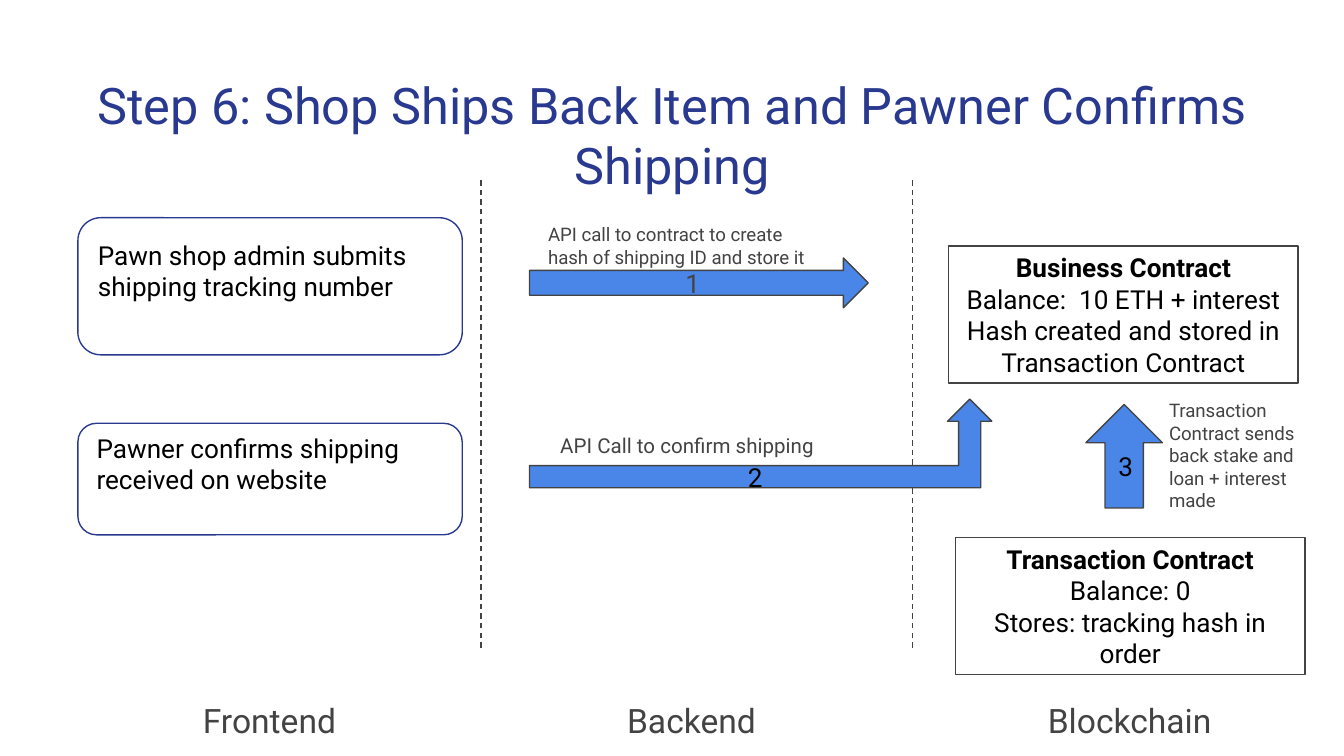
"""Build the shipping step slide on a square grid, 100 columns wide."""
import pptx
import pptx.util
import pptx.dml.color
import pptx.enum.dml
import pptx.enum.shapes
import pptx.enum.text
import pptx.oxml

RGBColor = pptx.dml.color.RGBColor
BLUE = RGBColor(0x4A, 0x86, 0xE8)
NAVY = RGBColor(0x2A, 0x39, 0x90)
GRAY = RGBColor(0x43, 0x43, 0x43)
BLACK = RGBColor(0, 0, 0)

Kind = pptx.enum.shapes.MSO_SHAPE
Align = pptx.enum.text.PP_ALIGN
Anchor = pptx.enum.text.MSO_ANCHOR
WIDE = pptx.util.Inches(10)
HIGH = WIDE * 9 // 16
CELL = WIDE // 100
INSET = CELL
THIN = pptx.util.Pt(0.75)


def place(*box):
    return [round(size * CELL) for size in box]


def set_all(item, form):
    for name, value in form.items():
        setattr(item, name, value)


def write(shape, lines, size, color, align=Align.CENTER, anchor=Anchor.TOP, head=False):
    frame = shape.text_frame
    frame.text = "\n".join(lines)
    set_all(frame, {
        "word_wrap": True,
        "auto_size": pptx.enum.text.MSO_AUTO_SIZE.NONE,
        "vertical_anchor": anchor,
        "margin_left": INSET, "margin_right": INSET,
        "margin_top": INSET, "margin_bottom": INSET,
    })
    for row, para in enumerate(frame.paragraphs):
        para.alignment = align
        for run in para.runs:
            set_all(run.font, {
                "name": "Roboto",
                "size": pptx.util.Pt(size),
                "bold": head and row == 0,
            })
            run.font.color.rgb = color


def add_title(slide, text, box):
    title = slide.shapes.title
    set_all(title, dict(zip(("left", "top", "width", "height"), place(*box))))
    write(title, [text], 27, NAVY)


def add_label(slide, text, box, size, align=Align.LEFT):
    label = slide.shapes.add_textbox(*place(*box))
    write(label, [text], size, GRAY, align)


def add_shape(slide, kind, box, edge, fill=None):
    shape = slide.shapes.add_shape(kind, *place(*box))
    shape.shadow.inherit = False
    shape.line.color.rgb = edge
    shape.line.width = THIN
    if fill is None:
        shape.fill.background()
    else:
        shape.fill.solid()
        shape.fill.fore_color.rgb = fill
    return shape


def add_card(slide, lines, box):
    card = add_shape(slide, Kind.RECTANGLE, box, GRAY)
    write(card, lines, 14, BLACK, anchor=Anchor.MIDDLE, head=True)


def add_step(slide, text, box):
    step = add_shape(slide, Kind.ROUNDED_RECTANGLE, box, NAVY)
    write(step, [text], 14, BLACK, Align.LEFT, Anchor.MIDDLE)
    step.text_frame.margin_bottom = round(3.3 * CELL)


def add_arrow(slide, kind, text, box, color=BLACK):
    arrow = add_shape(slide, kind, box, GRAY, BLUE)
    write(arrow, [text], 14, color, anchor=Anchor.MIDDLE)


def add_split(slide, col):
    left, low, top = place(col, 48.2, 13.4)
    split = slide.shapes.add_connector(
        pptx.enum.shapes.MSO_CONNECTOR.STRAIGHT, left, low, left, top)
    split.line.color.rgb = GRAY
    set_all(split.line, {"width": THIN, "dash_style": pptx.enum.dml.MSO_LINE.DASH})
    split._element.spPr.append(pptx.oxml.parse_xml(
        '<a:effectLst xmlns:a="http://schemas.openxmlformats.org/drawingml/2006/main"/>'))


def main():
    deck = pptx.Presentation()
    set_all(deck, {"slide_width": WIDE, "slide_height": HIGH})
    slide = deck.slides.add_slide(deck.slide_layouts[5])
    add_title(slide, "Step 6: Shop Ships Back Item and Pawner Confirms Shipping",
              (3.4, 4.5, 93.2, 6.6))

    for name, col in (("Frontend", 10), ("Backend", 41.4), ("Blockchain", 74)):
        add_label(slide, name, (col, 51.1, 20.1, 4.1), 18, Align.CENTER)
    for col in (35.8, 67.9):
        add_split(slide, col)

    add_step(slide, "Pawn shop admin submits shipping tracking number",
             (5.8, 16.2, 28.6, 10.2))
    add_step(slide, "Pawner confirms shipping received on website",
             (5.8, 31.5, 28.6, 8.3))
    add_card(slide, ["Business Contract", "Balance:  10 ETH + interest",
                     "Hash created and stored in Transaction Contract"],
             (70.6, 18.3, 26, 10.2))
    add_card(slide, ["Transaction Contract", "Balance: 0",
                     "Stores: tracking hash in order"],
             (71.1, 40, 26, 10.2))

    add_arrow(slide, Kind.RIGHT_ARROW, "1", (39.4, 19.2, 25.2, 3.7), GRAY)
    add_label(slide, "API call to contract to create hash of shipping ID and store it",
              (39.8, 15.6, 21.7, 3.7), 10)
    add_label(slide, "API Call to confirm shipping", (40.7, 31.2, 26, 4.1), 11)
    add_arrow(slide, Kind.BENT_UP_ARROW, "2", (39.4, 29.7, 34.4, 6.6))
    add_arrow(slide, Kind.UP_ARROW, "3", (80.8, 30.1, 5.7, 7.7))
    add_label(slide, "Transaction Contract sends back stake and loan + interest made",
              (86, 28.7, 11.7, 11.2), 10)
    deck.save("out.pptx")


if __name__ == "__main__":
    main()
